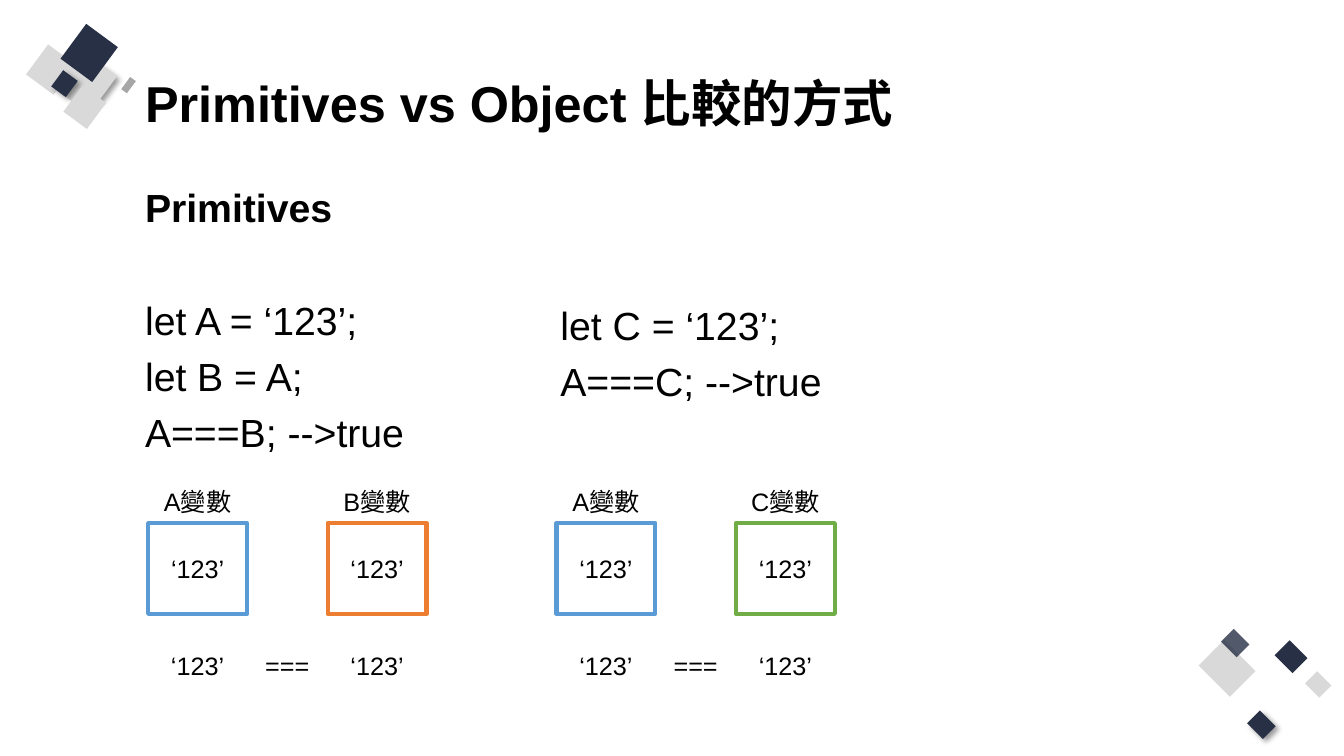
from lxml.etree import SubElement
from pptx import Presentation
from pptx.dml.color import RGBColor
from pptx.enum.lang import MSO_LANGUAGE_ID
from pptx.enum.shapes import MSO_SHAPE
from pptx.enum.text import MSO_ANCHOR, PP_ALIGN
from pptx.oxml.ns import qn
from pptx.util import Inches, Pt

NAVY, PALE, GREY = "273045", "D9D9D9", "A6A6A6"
BLUE, ORANGE, GREEN = "5B9BD5", "ED7D31", "70AD47"

TITLE = "Primitives vs Object 比較的方式"
HEADING = "Primitives"
CODE_AB = ["let A = ‘123’;", "let B = A;", "A===B; -->true"]
CODE_AC = ["let C = ‘123’;", "A===C; -->true"]
VALUE, OPERATOR = "‘123’", "==="
COMPARISONS = [
    [("A變數", BLUE), ("B變數", ORANGE)],
    [("A變數", BLUE), ("C變數", GREEN)],
]

# left, top, width, height, rotation, colour, effect
TILES = [
    (1.2, 0.81, 0.15, 0.07, 306.4, GREY, ""),
    (0.32, 0.52, 0.37, 0.34, 306.4, PALE, ""),
    (0.8, 0.66, 0.31, 0.28, 306.4, PALE, "shadow"),
    (0.69, 0.61, 0.19, 0.17, 306.4, PALE, ""),
    (0.56, 0.66, 0.33, 0.3, 306.4, PALE, ""),
    (0.54, 0.74, 0.2, 0.18, 306.4, NAVY, "shadow"),
    (0.67, 0.33, 0.43, 0.39, 306.4, NAVY, ""),
    (0.68, 0.92, 0.32, 0.29, 306.4, PALE, ""),
    (12.7, 6.39, 0.21, 0.25, 315, NAVY, ""),
    (12.99, 6.69, 0.17, 0.2, 315, PALE, ""),
    (11.99, 6.41, 0.36, 0.44, 135, PALE, ""),
    (12.42, 7.08, 0.18, 0.22, 135, NAVY, "shadow"),
    (12.16, 6.27, 0.18, 0.22, 135, NAVY, "translucent"),
]

BOX_LEFT, BOX_TOP, BOX_WIDTH, BOX_HEIGHT = 1.47, 5.19, 0.98, 0.9
BOX_STEP, COMPARISON_STEP = 1.78, 4.05
LABEL_WIDTH, RESULT_WIDTH, OPERATOR_WIDTH = 1.24, 0.73, 0.64
LABEL_TOP, RESULT_TOP, LINE_HEIGHT = 4.78, 6.4, 0.4

deck = Presentation()
deck.slide_width, deck.slide_height = Inches(13.33), Inches(7.5)
page = deck.slides.add_slide(deck.slide_layouts[6])


def colour(value):
    return RGBColor.from_string(value)


def write(shape, lines, size=18, bold=False, align=PP_ALIGN.CENTER,
          anchor=MSO_ANCHOR.TOP, wrap=True, spacing=1.0, before=0):
    frame = shape.text_frame
    frame.word_wrap, frame.vertical_anchor = wrap, anchor
    for index, line in enumerate(lines):
        para = frame.paragraphs[0] if index == 0 else frame.add_paragraph()
        para.alignment, para.line_spacing = align, spacing
        para.space_before = Pt(before)
        span = para.add_run()
        span.text = line
        font = span.font
        font.name, font.size, font.bold = "Arial", Pt(size), bold
        font.color.rgb = colour("000000")
        font.language_id = MSO_LANGUAGE_ID.TRADITIONAL_CHINESE
    return frame.paragraphs


def add_text(left, top, width, height, lines, **style):
    box = page.shapes.add_textbox(*map(Inches, (left, top, width, height)))
    return write(box, lines, **style)


def add_rectangle(left, top, width, height):
    shape = page.shapes.add_shape(
        MSO_SHAPE.RECTANGLE, *map(Inches, (left, top, width, height)))
    shape.shadow.inherit = False
    return shape


def add_alpha(colour_element, percent):
    SubElement(colour_element, qn("a:alpha"), val=str(percent * 1000))


def add_tile(left, top, width, height, rotation, fill, effect):
    tile = add_rectangle(left, top, width, height)
    tile.rotation = rotation
    tile.fill.solid()
    tile.fill.fore_color.rgb = colour(fill)
    tile.line.fill.background()
    properties = tile.element.spPr
    if effect == "translucent":
        add_alpha(properties.find(f".//{qn('a:srgbClr')}"), 80)
    elif effect == "shadow":
        shadow = SubElement(
            properties.find(qn("a:effectLst")), qn("a:outerShdw"),
            blurRad=str(Pt(4)), dist=str(Pt(3)), dir=str(45 * 60000),
            algn="tl", rotWithShape="0")
        add_alpha(SubElement(shadow, qn("a:srgbClr"), val="000000"), 40)


def add_variable(left, label, outline):
    """Draw a labelled value box with its compared value below."""
    box = add_rectangle(left, BOX_TOP, BOX_WIDTH, BOX_HEIGHT)
    box.fill.background()
    box.line.color.rgb = colour(outline)
    box.line.width = Pt(3)
    write(box, [VALUE], anchor=MSO_ANCHOR.MIDDLE)
    middle = left + BOX_WIDTH / 2
    add_text(middle - LABEL_WIDTH / 2, LABEL_TOP, LABEL_WIDTH, LINE_HEIGHT, [label])
    add_text(middle - RESULT_WIDTH / 2, RESULT_TOP, RESULT_WIDTH, LINE_HEIGHT,
             [VALUE], wrap=False)


for tile_values in TILES:
    add_tile(*tile_values)

add_text(1.34, 0.4, 10.55, 1.3, [TITLE], size=36, bold=True, spacing=0.9,
         align=PP_ALIGN.LEFT, anchor=MSO_ANCHOR.MIDDLE)

code_style = {"size": 28, "spacing": 0.9, "before": 10, "align": PP_ALIGN.LEFT}
body = add_text(1.34, 1.82, 3.11, 2.96, [HEADING, *CODE_AB], **code_style)
body[0].runs[0].font.bold = True
body[1].space_before = Pt(50.4)
add_text(5.46, 2.99, 3.11, 1.79, CODE_AC, **code_style)

for number, variables in enumerate(COMPARISONS):
    start = BOX_LEFT + number * COMPARISON_STEP
    for position, (label, outline) in enumerate(variables):
        add_variable(start + position * BOX_STEP, label, outline)
    operator_left = start + (BOX_STEP + BOX_WIDTH - OPERATOR_WIDTH) / 2
    add_text(operator_left, RESULT_TOP, OPERATOR_WIDTH, LINE_HEIGHT,
             [OPERATOR], wrap=False)

deck.save("out.pptx")
